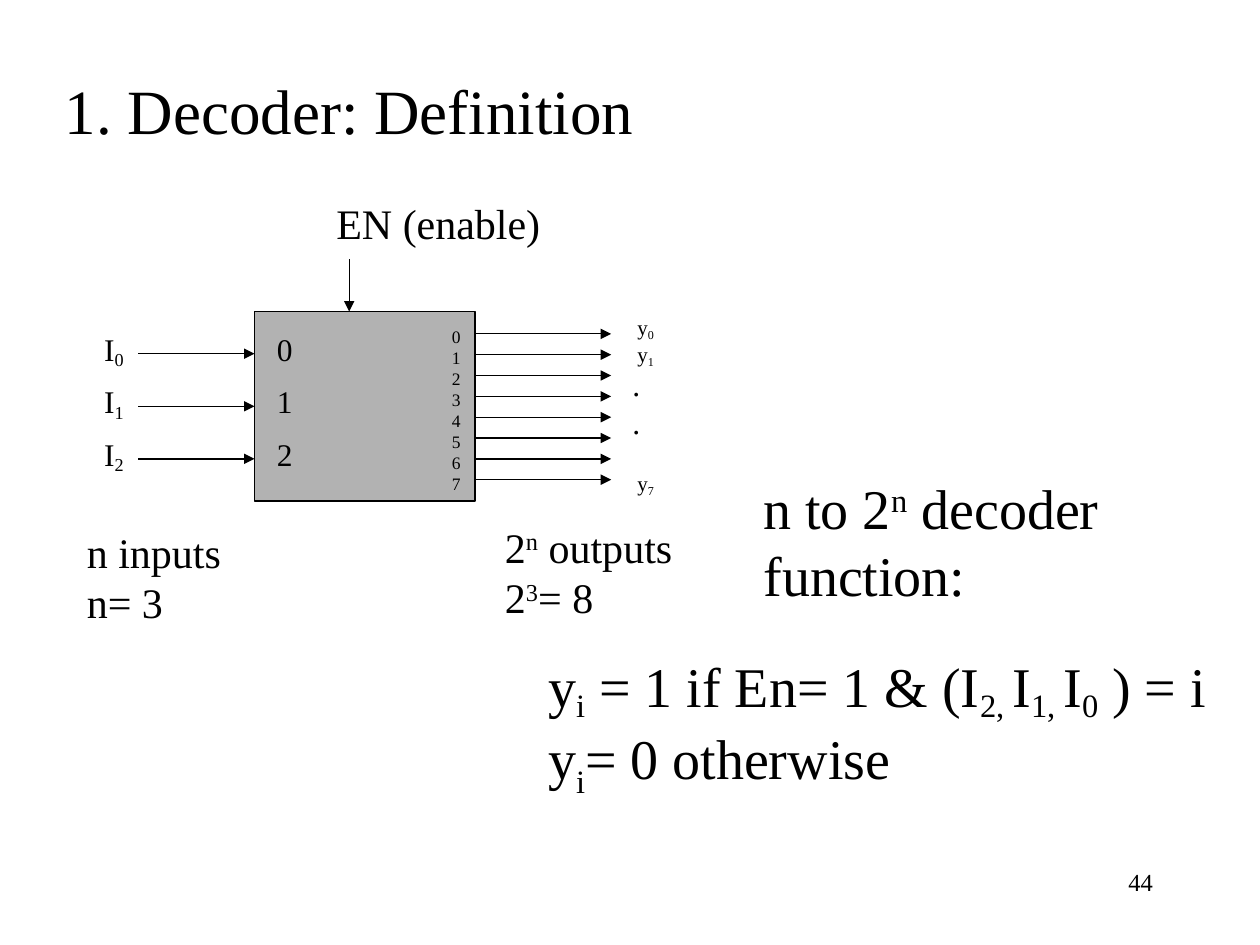
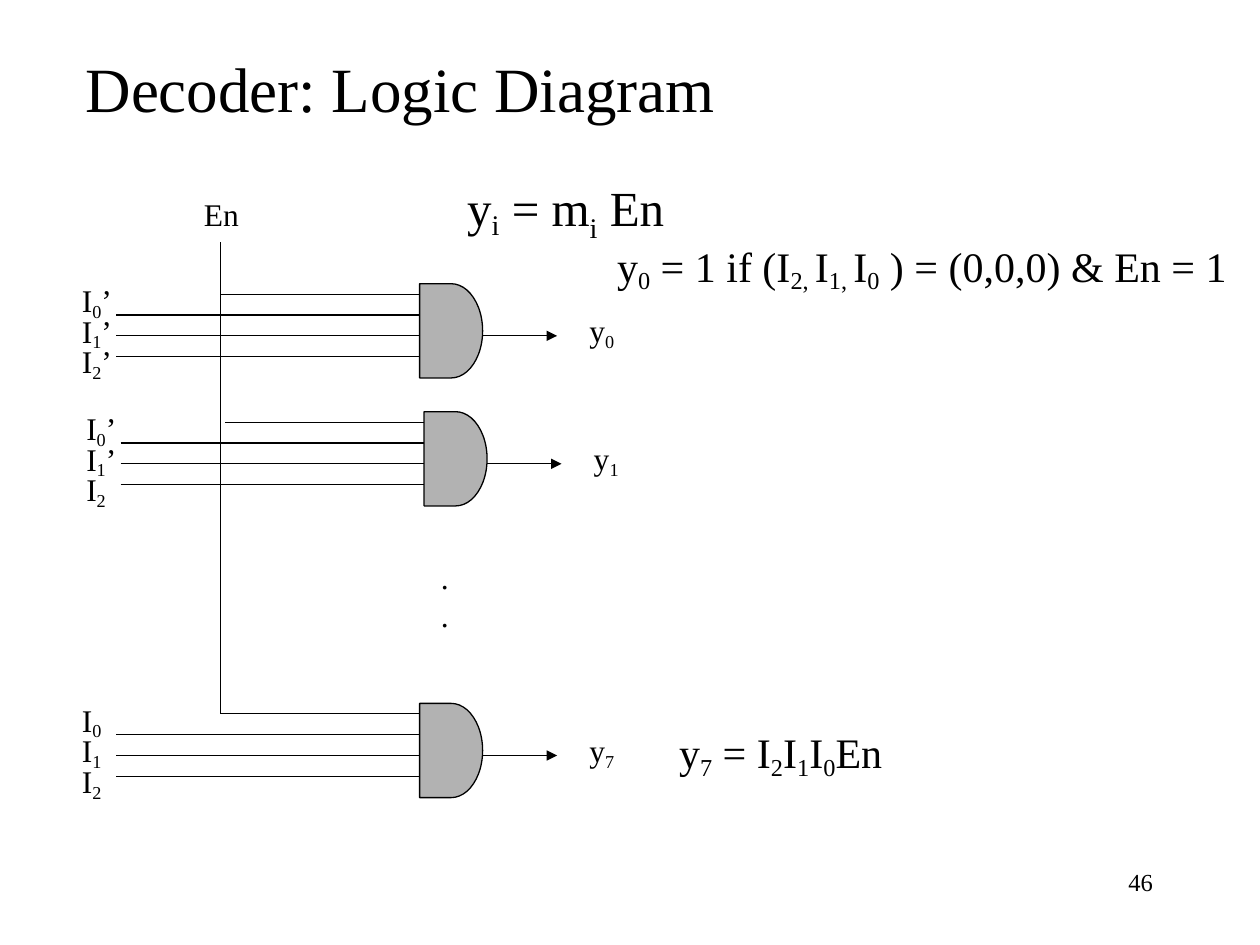
"""Build two slides on decoders: the definition and the logic diagram."""
from pptx import Presentation
from pptx.dml.color import RGBColor
from pptx.enum.shapes import MSO_CONNECTOR, MSO_SHAPE
from pptx.enum.text import MSO_ANCHOR, MSO_AUTO_SIZE, PP_ALIGN
from pptx.oxml.ns import qn
from pptx.oxml.xmlchemy import OxmlElement
from pptx.util import Cm, Pt

RECT, DELAY = MSO_SHAPE.RECTANGLE, MSO_SHAPE.FLOWCHART_DELAY
STRAIGHT = MSO_CONNECTOR.STRAIGHT
LEFT, MID, RIGHT = PP_ALIGN.LEFT, PP_ALIGN.CENTER, PP_ALIGN.RIGHT
FONT, INK, GREY = "Times New Roman", "000000", "B2B2B2"
TITLE_ONLY = 5
SHIFTS = {"_": -18000, "~": -25000, "^": 30000}


def color(code):
    return RGBColor.from_string(code)


class Deck:
    """Hold the shared style and the current slide."""

    def __init__(self):
        self.prs = Presentation()
        self.prs.slide_width, self.prs.slide_height = Cm(25.4), Cm(19.05)
        self.slide = None

    def start(self, title, place, align, page):
        layout = self.prs.slide_layouts[TITLE_ONLY]
        self.slide = self.prs.slides.add_slide(layout)
        head = self.slide.shapes.title
        head.left, head.top, head.width, head.height = map(Cm, place)
        frame = head.text_frame
        frame.auto_size = MSO_AUTO_SIZE.NONE
        frame.word_wrap = False
        frame.vertical_anchor = MSO_ANCHOR.MIDDLE
        self.fill(frame, [title], 36, align)
        self.text([page], 18.21, 17.35, 5.28, 1.27, 14, align=RIGHT, wrap=True)

    def fill(self, frame, lines, size, align):
        """Write lines whose parts, split by |, may start with a shift mark."""
        for i, line in enumerate(lines):
            para = frame.add_paragraph() if i else frame.paragraphs[0]
            para.alignment = align
            for part in line.split("|"):
                shift = SHIFTS.get(part[0])
                run = para.add_run()
                run.text = part[1:] if shift else part
                run.font.name, run.font.size = FONT, Pt(size)
                run.font.color.rgb = color(INK)
                if shift:
                    run.font._element.set("baseline", str(shift))

    def text(self, lines, x, y, w, h, size, align=LEFT, wrap=False):
        box = self.slide.shapes.add_textbox(Cm(x), Cm(y), Cm(w), Cm(h))
        frame = box.text_frame
        frame.word_wrap = wrap
        self.fill(frame, lines, size, align)
        return frame

    def shape(self, kind, x, y, w, h):
        item = self.slide.shapes.add_shape(kind, Cm(x), Cm(y), Cm(w), Cm(h))
        item.shadow.inherit = False
        item.fill.solid()
        item.fill.fore_color.rgb = color(GREY)
        item.line.color.rgb = color(INK)
        item.line.width = Pt(0.75)
        return item

    def line(self, x1, y1, x2, y2, arrow=False):
        wire = self.slide.shapes.add_connector(
            STRAIGHT, Cm(x1), Cm(y1), Cm(x2), Cm(y2))
        wire.line.color.rgb = color(INK)
        wire.line.width = Pt(0.75)
        props = wire._element.spPr
        if arrow:
            tail = OxmlElement("a:tailEnd")
            tail.set("type", "triangle")
            props.find(qn("a:ln")).append(tail)
        props.append(OxmlElement("a:effectLst"))
        return wire

    def gate(self, x, y, names, out):
        """Draw an AND gate with its enable wire, inputs and output."""
        self.shape(DELAY, x, y, 1.27, 1.9)
        self.line(x - 4.01, y + 0.21, x, y + 0.21)
        for i, name in enumerate(names):
            row = y + 0.21 + 0.42 * (i + 1)
            self.line(x - 6.12, row, x, row)
            wide = 1.14 if name.endswith("’") else 0.94
            self.text([name], x - 7.06, y - 0.18 + 0.62 * i, wide, 1.02, 18)
        self.line(x + 1.27, y + 1.05, x + 2.77, y + 1.05, True)
        self.text([out], x + 3.17, y + 0.43, 1.04, 1.02, 18)


def define(deck):
    deck.start("1. Decoder: Definition", (0.84, 1.47, 12.4, 1.47), MID, "44")
    box = deck.shape(RECT, 5.13, 6.28, 4.45, 3.82)
    for i in range(3):
        row = 7.13 + 1.06 * i
        wire = deck.line(2.79, row, 5.13, row, True)
        if i == 1:
            wire.end_connect(box, 1)
        deck.text([f"I|_{i}"], 1.85, row - 0.61, 0.94, 1.02, 18)
        deck.text([str(i)], 5.33, row - 0.61, 1.47, 1.02, 18, wrap=True)
    for i in range(8):
        row = 6.73 + 0.42 * i
        deck.line(9.58, row, 12.32, row, True)
    deck.text([str(i) for i in range(8)], 8.86, 6.45, 0.69, 3.63, 10)
    outs = deck.text(["y|_0", "y|_1", "y|_7"], 12.6, 6.22, 0.86, 3.81, 12)
    outs.paragraphs[2].space_before = Pt(58)
    deck.text([".", "."], 12.5, 7.24, 0.66, 1.78, 18)
    deck.line(7.04, 5.23, 7.04, 6.28, True)
    deck.text(["EN (enable)"], 6.53, 3.86, 4.62, 1.27, 24)
    deck.text(["n inputs", "n= 3"], 1.5, 10.49, 3.23, 2.29, 24)
    deck.text(["2|^n| outputs", "2|^3|= 8"], 9.93, 10.39, 3.91, 2.29, 24)
    deck.text(["y|_i| = 1 if En= 1 & (I|_2, |I|_1, |I|_0| ) = i",
               "y|~i|= 0 otherwise"], 10.8, 13, 14.15, 3, 32)
    deck.text(["n to 2|^n| decoder function:"],
              15.14, 9.42, 7.67, 2.97, 32, wrap=True)


def draw(deck):
    deck.start("Decoder: Logic Diagram", (1.47, 0.86, 13.21, 1.78), LEFT, "46")
    deck.text(["En"], 3.86, 3.81, 1.22, 1.02, 18)
    deck.line(4.45, 4.88, 4.45, 14.39)
    deck.line(4.45, 14.39, 7.62, 14.39)
    deck.gate(8.46, 5.72, ["I|_0|’", "I|_1|’", "I|_2|’"], "y|_0")
    deck.gate(8.55, 8.3, ["I|_0|’", "I|_1|’", "I|_2"], "y|_1")
    deck.gate(8.46, 14.18, ["I|_0", "I|_1", "I|_2"], "y|_7")
    deck.text([".", "."], 8.64, 11.13, 0.66, 1.78, 18)
    deck.text(["y|_i| = m|~i| En"], 9.17, 3.45, 4.9, 1.45, 28, wrap=True)
    deck.text(["y|_0| = 1 if (I|_2, |I|_1, |I|_0| ) = (0,0,0) & En = 1"],
              12.19, 4.72, 13.21, 1.27, 24, wrap=True)
    deck.text(["y|_7| = I|_2|I|_1|I|_0|En"],
              13.44, 14.53, 6.93, 1.27, 24, wrap=True)


def main():
    deck = Deck()
    define(deck)
    draw(deck)
    deck.prs.save("out.pptx")


if __name__ == "__main__":
    main()
